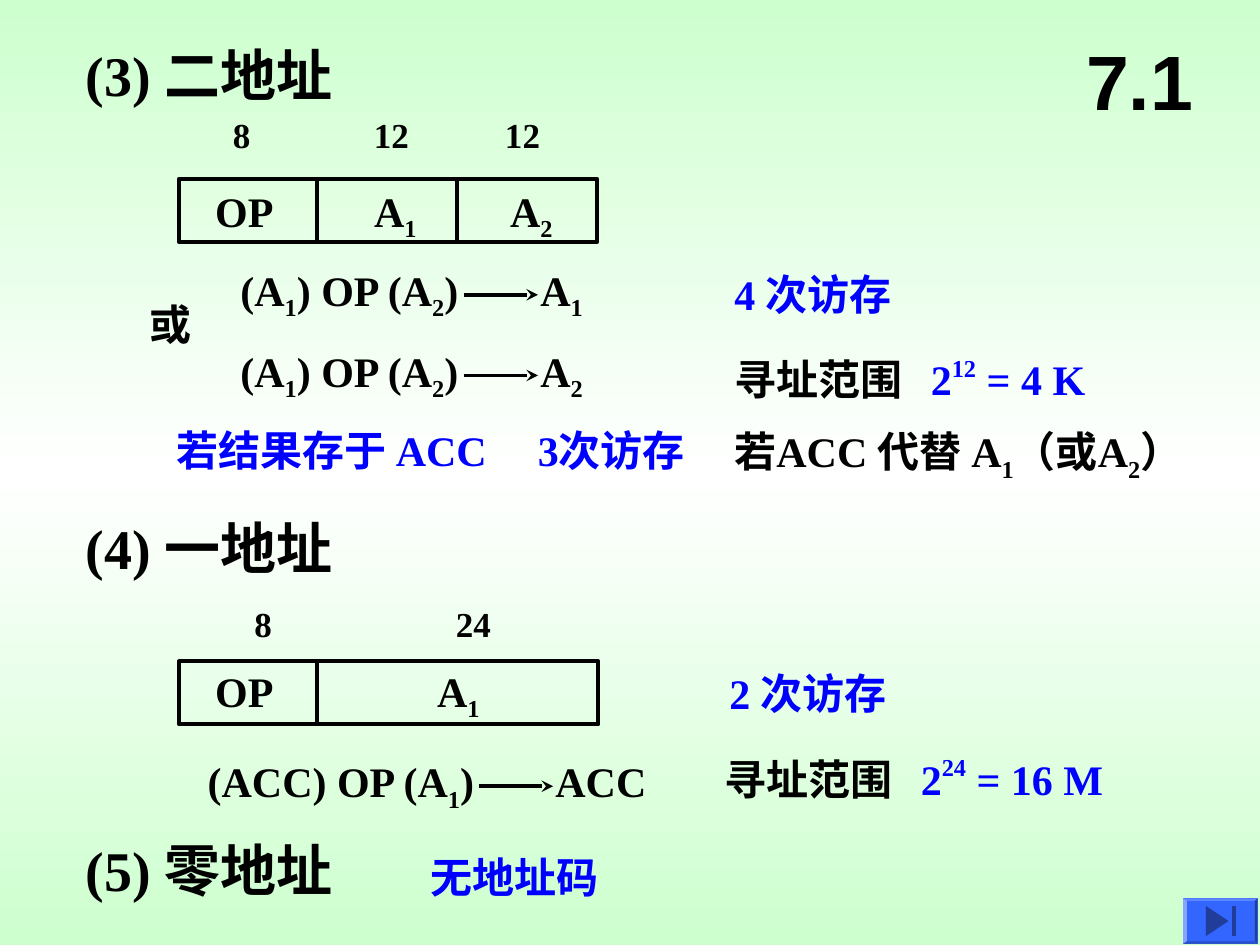
from copy import deepcopy
from lxml import etree
from pptx import Presentation
from pptx import util as u
from pptx.dml import color
from pptx.enum import shapes, text
from pptx.oxml import ns

BLACK, BLUE = "000000", "0000FF"


def rgb(code):
    return color.RGBColor.from_string(code)


def put(item, values):
    for key, value in values.items():
        setattr(item, key, value)


class Deck:
    font = "Times New Roman"
    edge = 2.24

    def __init__(self, slide):
        self.slide = slide
        self.shapes = slide.shapes

    def back(self, *codes):
        fill = self.slide.background.fill
        fill.gradient()
        fill.gradient_angle = 90
        stops = self.slide.element.find(".//" + ns.qn("a:gsLst"))
        stops.append(deepcopy(stops[-1]))
        for i, (stop, code) in enumerate(zip(fill.gradient_stops, codes)):
            put(stop, {"position": i / 2})
            stop.color.rgb = rgb(code)

    def style(self, run, size, code, face):
        put(run.font, {"size": u.Pt(size), "bold": True, "name": face})
        run.font.color.rgb = rgb(code)

    def title(self, words, x, y, w, h):
        box = self.shapes.title
        put(box, {"left": u.Inches(x), "top": u.Inches(y),
                  "width": u.Inches(w), "height": u.Inches(h)})
        put(box.text_frame, {"text": words, "vertical_anchor": text.MSO_ANCHOR.MIDDLE})
        line = box.text_frame.paragraphs[0]
        line.alignment = text.PP_ALIGN.CENTER
        self.style(line.runs[0], 44, BLACK, "Arial")

    def text(self, words, x, y, w, h=0.5, size=24, code=BLACK, base=-25, tabs=()):
        box = self.shapes.add_textbox(*map(u.Inches, (x, y, w, h)))
        put(box.text_frame, {"word_wrap": True})
        line = box.text_frame.paragraphs[0]
        if tabs:
            stops = etree.SubElement(line._p.get_or_add_pPr(), ns.qn("a:tabLst"))
            for stop in tabs:
                etree.SubElement(stops, ns.qn("a:tab"), pos=str(u.Inches(stop)), algn="l")
        for part, shade in zip(words.split("|"), (code, BLUE)):
            for i, bit in enumerate(part.split("~")):
                if bit:
                    run = line.add_run()
                    run.text = bit
                    self.style(run, size, shade, self.font)
                    if i % 2:
                        run.font._element.set("baseline", str(base * 1000))

    def cell(self, x, y, w):
        box = self.shapes.add_shape(shapes.MSO_SHAPE.RECTANGLE, *map(u.Inches, (x, y, w, 0.5)))
        box.shadow.inherit = False
        box.fill.background()
        box.line.color.rgb = rgb(BLACK)
        box.line.width = u.Pt(self.edge)

    def arrow(self, x, y):
        line = self.shapes.add_connector(
            shapes.MSO_CONNECTOR.STRAIGHT, *map(u.Inches, (x, y, x + 0.59, y)))
        line.line.color.rgb = rgb(BLACK)
        line.line.width = u.Pt(self.edge)
        etree.SubElement(line.line._get_or_add_ln(), ns.qn("a:tailEnd"), type="stealth")
        etree.SubElement(line._element.spPr, ns.qn("a:effectLst"))

    def poly(self, code, *spots):
        spots = [(u.Inches(x), u.Inches(y)) for x, y in spots]
        path = self.shapes.build_freeform(*spots[0])
        path.add_line_segments(spots[1:], close=True)
        face = path.convert_to_shape()
        face.shadow.inherit = False
        face.fill.solid()
        face.fill.fore_color.rgb = rgb(code)
        face.line.fill.background()


def box(l, t, r, b):
    return [(l, t), (r, t), (r, b), (l, b)]


show = Presentation()
put(show, {"slide_width": u.Inches(10), "slide_height": u.Inches(7.5)})
deck = Deck(show.slides.add_slide(show.slide_layouts[5]))
deck.back("CDFFCE", "FFFFFF", "CDFFCE")
deck.title("7.1", 8.42, 0.17, 1.25, 0.92)

for words, y in (("(3) 二地址", 0.27), ("(4) 一地址", 4.03), ("(5) 零地址", 6.58)):
    deck.text(words, 0.58, y, 3, 0.64, size=32)

for y, widths in ((1.42, (1.1, 1.11, 1.11)), (5.25, (1.1, 2.23))):
    x = 1.42
    for w in widths:
        deck.cell(x, y, w)
        x += w

for words, x, y in (("OP", 1.61, 1.42), ("A~1", 2.87, 1.42), ("A~2", 3.95, 1.42),
                    ("OP", 1.61, 5.23), ("A~1", 3.37, 5.23)):
    deck.text(words, x, y, 0.75)

deck.text("8\t12\t12", 1.75, 0.85, 2.9, 0.44, size=20, tabs=(1.12, 2.16))
deck.text("8\t24", 1.92, 4.73, 2.3, 0.44, size=20, tabs=(1.6,))

for words, x, y, w, stop, tip in (
        ("(A~1~) OP (A~2~)\tA~1", 1.81, 2.05, 3.1, 2.38, 3.68),
        ("(A~1~) OP (A~2~)\tA~2", 1.81, 2.69, 3.1, 2.38, 3.68),
        ("(ACC) OP (A~1~)\tACC", 1.55, 5.95, 3.8, 2.76, 3.8)):
    deck.text(words, x, y, w, 0.56, tabs=(stop,))
    deck.arrow(tip, y + 0.29)

deck.text("或", 1.09, 2.32, 0.6)
deck.text("若ACC 代替 A~1~（或A~2~）", 5.73, 3.33, 3.93, 1.01)
for words, x, y, w in (("4 次访存", 5.73, 2.08, 3.02), ("2 次访存", 5.69, 5.25, 1.7),
                       ("若结果存于 ACC", 1.3, 3.32, 3.08), ("3次访存", 4.17, 3.32, 2),
                       ("无地址码", 3.32, 6.71, 1.7)):
    deck.text(words, x, y, w, code=BLUE)
for words, x, y in (("寻址范围\t|2~12~ = 4 K", 5.73, 2.75),
                    ("寻址范围\t|2~24~ = 16 M", 5.65, 5.92)):
    deck.text(words, x, y, 3.43, 0.51, base=45, tabs=(1.56,))

rim, face = box(9.39, 7.13, 9.98, 7.49), box(9.42, 7.15, 9.96, 7.47)
deck.poly("3366FF", *rim)
for i, code in enumerate(("5C85FF", "1F3D99", "2952CC", "85A3FF")):
    j = (i + 1) % 4
    deck.poly(code, rim[i], rim[j], face[j], face[i])
deck.poly("1F3D99", (9.75, 7.31), (9.57, 7.43), (9.57, 7.19))
deck.poly("1F3D99", *box(9.78, 7.19, 9.81, 7.43))

show.save("out.pptx")
